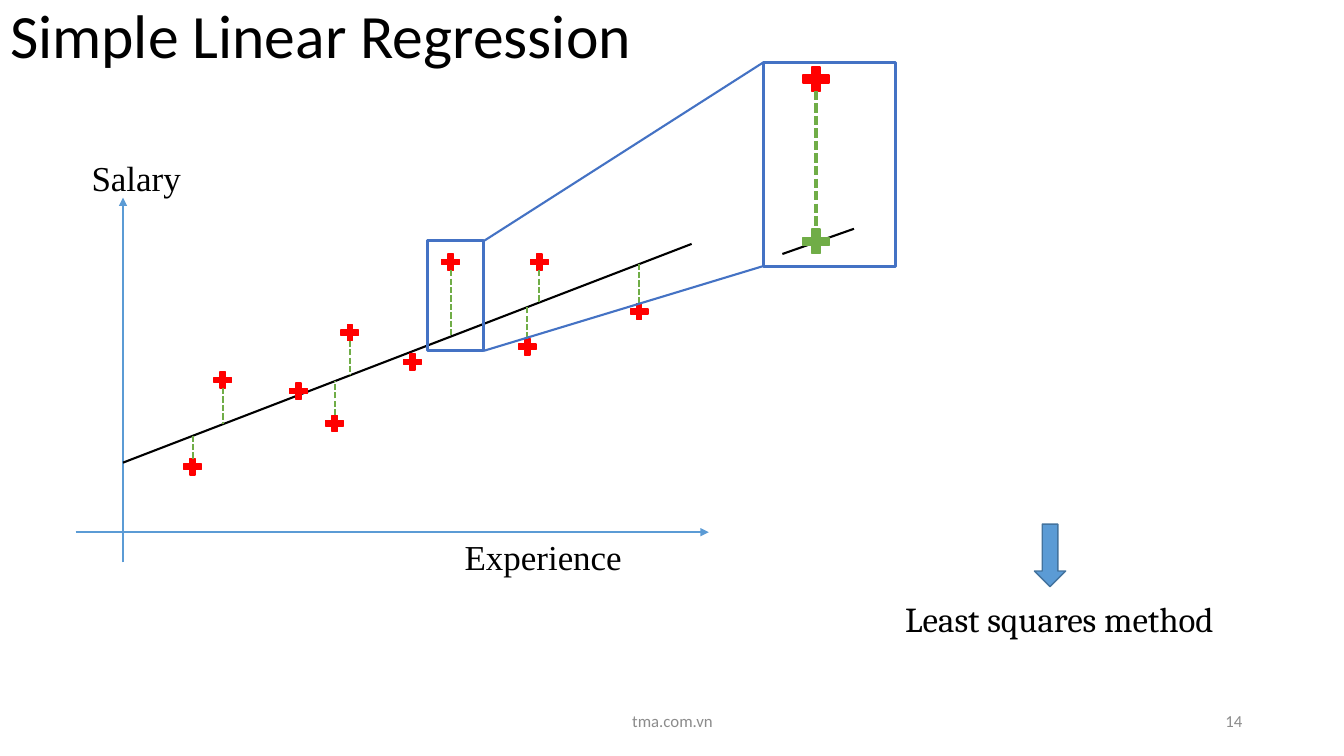
import pptx
import pptx.util
import pptx.dml.color
import pptx.enum.dml
import pptx.enum.shapes
import pptx.enum.text
import pptx.oxml
import pptx.oxml.ns

RGB = pptx.dml.color.RGBColor
BLACK = RGB(0x00, 0x00, 0x00)
GRAY = RGB(0x8C, 0x8C, 0x8C)
RED = RGB(0xFF, 0x00, 0x00)
GREEN = RGB(0x70, 0xAD, 0x47)
SKY = RGB(0x5B, 0x9B, 0xD5)
STEEL = RGB(0x43, 0x73, 0x9E)
BLUE = RGB(0x44, 0x72, 0xC4)

SHAPE = pptx.enum.shapes.MSO_SHAPE
ALIGN = pptx.enum.text.PP_ALIGN
ANCHOR = pptx.enum.text.MSO_ANCHOR
DASH = pptx.enum.dml.MSO_LINE.SQUARE_DOT

# The slide is a grid of square cells, 75 rows high.
ROWS = 75
CELL = pptx.util.Inches(7.5) / ROWS

# Centres of the marks, in cells from the corner of the plot.
MARKS = [(11.6, 31.3), (14.6, 22.7), (22.1, 23.8), (25.7, 27), (27.2, 18),
         (33.4, 20.9), (37.2, 11), (44.8, 19.4), (46, 11), (55.9, 15.9)]
START, END = (4.7, 30.9), (61.1, 9.2)


def grid(*cells):
    return [round(cell * CELL) for cell in cells]


def style(item, values):
    for name, value in values.items():
        setattr(item, name, value)


def write(frame, words, font, size, color=BLACK, align=ALIGN.LEFT,
          anchor=ANCHOR.TOP):
    style(frame, {"word_wrap": True, "vertical_anchor": anchor,
                  "auto_size": pptx.enum.text.MSO_AUTO_SIZE.NONE})
    para = frame.paragraphs[0]
    para.text = words
    para.alignment = align
    style(para.font, {"name": font, "size": pptx.util.Pt(size)})
    para.font.color.rgb = color
    return para


def label(slide, box, *args, **kwargs):
    text = slide.shapes.add_textbox(*grid(*box))
    write(text.text_frame, *args, **kwargs)


def draw(slide, kind, box, fill, edge, width=1):
    shape = slide.shapes.add_shape(kind, *grid(*box))
    shape.shadow.inherit = False
    if fill is None:
        shape.fill.background()
    else:
        shape.fill.solid()
        shape.fill.fore_color.rgb = fill
    shape.line.color.rgb = edge
    shape.line.width = pptx.util.Pt(width)


def plus(slide, x, y, wide, high, color):
    """Draw a plus sign centred on x, y."""
    box = (x - wide / 2, y - high / 2, wide, high)
    draw(slide, SHAPE.MATH_PLUS, box, color, color)


def line(slide, start, end, color, width=1.5, dash=None, arrow=False):
    link = slide.shapes.add_connector(
        pptx.enum.shapes.MSO_CONNECTOR.STRAIGHT, *grid(*start, *end))
    style(link.line, {"width": pptx.util.Pt(width), "dash_style": dash})
    link.line.color.rgb = color
    props = link._element.spPr
    if arrow:
        tip = pptx.oxml.parse_xml(
            f'<a:tailEnd {pptx.oxml.ns.nsdecls("a")} type="triangle"/>')
        link.line._get_or_add_ln().append(tip)
    props.append(pptx.oxml.parse_xml(
        f'<a:effectLst {pptx.oxml.ns.nsdecls("a")}/>'))


def title(slide, box):
    head = slide.shapes.title
    names = ("left", "top", "width", "height")
    style(head, dict(zip(names, grid(*box))))
    para = write(head.text_frame, "Simple Linear Regression", "Calibri", 44)
    para.line_spacing = 0.9


def plot(slide, box):
    left, top, wide, high = box

    def at(x, y):
        return left + x, top + y

    def fit(x):
        slope = (END[1] - START[1]) / (END[0] - START[0])
        return START[1] + slope * (x - START[0])

    base = high - 5
    line(slide, at(START[0], high - 2), at(START[0], 4.6), SKY, arrow=True)
    line(slide, at(0, base), at(wide, base), SKY, arrow=True)
    label(slide, (*at(0.6, 0), 11.7, 5.2), "Salary", "Times New Roman", 25)
    label(slide, (*at(37.6, base - 0.2), 21.5, 5.2), "Experience",
          "Times New Roman", 25)
    line(slide, at(*START), at(*END), BLACK)
    for x, y in MARKS:
        plus(slide, *at(x, y), 2.4, 2.2, RED)
        gap = fit(x) - y
        if abs(gap) > 2:
            edge = y + (0.8 if gap > 0 else -0.8)
            line(slide, at(x, edge), at(x, fit(x)), GREEN, dash=DASH)


def zoom(slide, near, far):
    """Frame one mark of the plot and show it enlarged in the far box."""
    for box in (near, far):
        draw(slide, SHAPE.RECTANGLE, box, None, BLUE, 2.25)
    left, top, wide, high = far
    side = near[0] + near[2]
    line(slide, (side, near[1]), (left, top), BLUE)
    line(slide, (side, near[1] + near[3]), (left, top + high), BLUE)
    mid = left + 0.4 * wide
    plus(slide, mid, top + 1.65, 3.5, 3.3, RED)
    line(slide, (left + 1.9, top + 19), (left + 9, top + 16.5), BLACK)
    line(slide, (mid, top + 2.8), (mid, top + 17.1), GREEN, 2.25, DASH)
    plus(slide, mid, top + 17.75, 3.5, 3.3, GREEN)


def method(slide, box):
    left, top, wide, high = box
    draw(slide, SHAPE.DOWN_ARROW, (left + 13.8, top, 3.1, 6.2), SKY, STEEL)
    label(slide, (left, top + 6.8, wide, high - 6.8),
          "Least squares method", "Cambria", 25)


def footer(slide, box):
    left, top, wide, high = box
    parts = [("tma.com.vn", 0, 45, ALIGN.CENTER),
             ("14", wide - 30, 30, ALIGN.RIGHT)]
    for words, x, span, align in parts:
        label(slide, (left + x, top, span, high), words, "Calibri", 12,
              GRAY, align, ANCHOR.MIDDLE)


def main():
    deck = pptx.Presentation()
    deck.slide_width = pptx.util.Inches(13.33)
    deck.slide_height = pptx.util.Inches(7.5)
    slide = deck.slides.add_slide(deck.slide_layouts[5])
    title(slide, (0, 0, 115, 14.5))
    plot(slide, (7.5, 15, 62.8, 42.8))
    zoom(slide, (42.4, 23.9, 5.6, 10.9), (75.7, 6.2, 13.1, 20.2))
    method(slide, (88.8, 52, 34.3, 12))
    footer(slide, (44.2, 69.5, 80, 4))
    deck.save("out.pptx")


if __name__ == "__main__":
    main()
